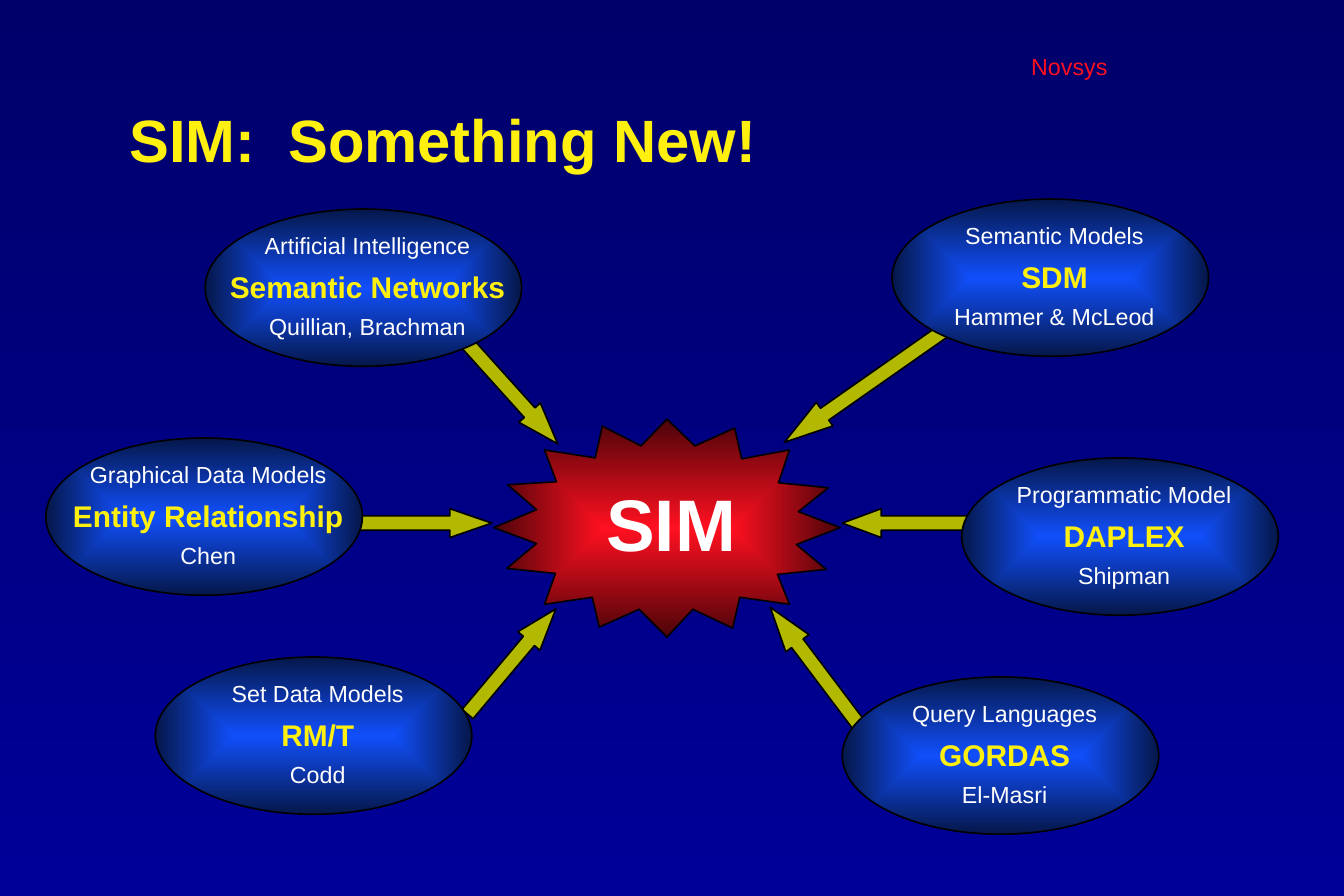
from pptx import Presentation
from pptx.dml.color import RGBColor as RGB
from pptx.enum.shapes import MSO_SHAPE as Kind
from pptx.enum.text import MSO_ANCHOR as Anchor, PP_ALIGN as Align
from pptx.oxml import parse_xml
from pptx.oxml.ns import nsdecls, qn
from pptx.util import Inches, Pt

WIDE, HIGH = Inches(11.25), Inches(7.5)
COLS, ROWS = 135, 90
CELL = WIDE // COLS

BLACK = RGB(0x00, 0x00, 0x00)
WHITE = RGB(0xFF, 0xFF, 0xFF)
YELLOW = RGB(0xFF, 0xF0, 0x10)
OLIVE = RGB(0xB3, 0xB9, 0x00)
RED = RGB(0xFF, 0x10, 0x20)
MAROON = RGB(0x4B, 0x04, 0x09)
BLUE = RGB(0x11, 0x4F, 0xFB)
NAVY = RGB(0x05, 0x17, 0x4A)
SKY_TOP = RGB(0x00, 0x00, 0x6A)
SKY_LOW = RGB(0x00, 0x00, 0x99)

PLAIN = {"size": Pt(14), "bold": False}
STRONG = {"size": Pt(18), "bold": True}
TITLE = {"size": Pt(36), "bold": True}
HERO = {"size": Pt(44), "bold": True}

OVAL = (31.8, 15.8)
MODELS = [
    (20.6, 21, "Artificial Intelligence", "Semantic Networks", "Quillian, Brachman"),
    (4.6, 44, "Graphical Data Models", "Entity Relationship", "Chen"),
    (15.6, 66, "Set Data Models", "RM/T", "Codd"),
    (84.6, 68, "Query Languages", "GORDAS", "El-Masri"),
    (89.6, 20, "Semantic Models", "SDM", "Hammer & McLeod"),
    (96.6, 46, "Programmatic Model", "DAPLEX", "Shipman"),
]
THICK = 2.9
ARROWS = [
    (Kind.RIGHT_ARROW, 74.4, 65.5, 14.9, 233, 1.56),
    (Kind.RIGHT_ARROW, 77, 37.3, 19.8, 145, 1.7),
    (Kind.RIGHT_ARROW, 44.5, 38, 13.8, 48, 1.45),
    (Kind.RIGHT_ARROW, 44.5, 65, 13.8, 310, 1.45),
    (Kind.LEFT_ARROW, 84.6, 51.1, 12.8, 0, 1.35),
    (Kind.RIGHT_ARROW, 35.6, 51.1, 13.8, 0, 1.45),
]
BURST = [
    (496, 530), (539, 546), (509, 571), (558, 576), (547, 607), (595, 600),
    (602, 630), (642, 612), (670, 640), (696, 612), (736, 631), (743, 600),
    (793, 607), (781, 577), (830, 572), (800, 547), (844, 530), (802, 514),
    (832, 490), (782, 485), (793, 452), (745, 461), (738, 430), (698, 448),
    (670, 421), (644, 448), (605, 428), (598, 460), (547, 452), (559, 484),
    (510, 487), (539, 512),
]


def apply(item, form):
    for name, value in form.items():
        setattr(item, name, value)


def cells(*spans):
    return [round(span * CELL) for span in spans]


def blend(fill, first, last):
    fill.gradient()
    for stop, color in zip(fill.gradient_stops, (first, last)):
        stop.color.rgb = color


def glow(shape, inner, outer):
    blend(shape.fill, inner, outer)
    grad = shape._element.spPr.find(qn("a:gradFill"))
    grad.replace(grad.find(qn("a:lin")), parse_xml(
        f'<a:path {nsdecls("a")} path="rect">'
        '<a:fillToRect l="50000" t="50000" r="50000" b="50000"/></a:path>'))


def edge(shape):
    shape.shadow.inherit = False
    shape.line.color.rgb = BLACK
    shape.line.width = Pt(1)


def write(shape, lines, align=Align.CENTER, pad=0.1, wrap=False):
    frame = shape.text_frame
    apply(frame, {
        "word_wrap": wrap, "vertical_anchor": Anchor.MIDDLE,
        "margin_left": Inches(pad), "margin_right": Inches(pad),
        "margin_top": Inches(0.05), "margin_bottom": Inches(0.05),
    })
    for place, (text, form, color) in enumerate(lines):
        para = frame.add_paragraph() if place else frame.paragraphs[0]
        if align == Align.CENTER:
            props = para._p.get_or_add_pPr()
            props.set("marL", str(Inches(0.44)))
            props.set("indent", str(Inches(-0.37)))
        gap = form["size"] * 0.44 if place else 0
        apply(para, {"alignment": align, "line_spacing": 0.9, "space_before": round(gap)})
        run = para.add_run()
        run.text = text
        apply(run.font, {"name": "Arial", **form})
        run.font.color.rgb = color


def label(slide, box, line, **form):
    write(slide.shapes.add_textbox(*cells(*box)), [line], **form)


def arrow(slide, kind, left, top, length, turn, head):
    shape = slide.shapes.add_shape(kind, *cells(left, top, length, THICK))
    edge(shape)
    shape.fill.solid()
    shape.fill.fore_color.rgb = OLIVE
    shape.adjustments[1] = head
    shape.rotation = turn


def model(slide, left, top, field, name, people):
    shape = slide.shapes.add_shape(Kind.OVAL, *cells(left, top, *OVAL))
    edge(shape)
    glow(shape, BLUE, NAVY)
    write(shape, [(field, PLAIN, WHITE), (name, STRONG, YELLOW), (people, PLAIN, WHITE)])


def burst(slide, points, text):
    pen = slide.shapes.build_freeform(*points[0], scale=CELL / 10)
    pen.add_line_segments(points[1:], close=True)
    shape = pen.convert_to_shape()
    edge(shape)
    glow(shape, RED, MAROON)
    write(shape, [(text, HERO, WHITE)])


def main():
    deck = Presentation()
    apply(deck, {"slide_width": WIDE, "slide_height": HIGH})
    slide = deck.slides.add_slide(deck.slide_layouts[6])
    back = slide.background.fill
    blend(back, SKY_TOP, SKY_LOW)
    back.gradient_angle = 270
    label(slide, (98.5, 5, 17, 3.7), ("Novsys", PLAIN, RED), wrap=True)
    for item in ARROWS:
        arrow(slide, *item)
    label(slide, (13, 9, COLS - 17.6, ROWS * 0.12), ("SIM:  Something New!", TITLE, YELLOW),
          align=Align.LEFT, pad=0, wrap=True)
    burst(slide, BURST, "SIM")
    for item in MODELS:
        model(slide, *item)
    deck.save("out.pptx")


if __name__ == "__main__":
    main()
